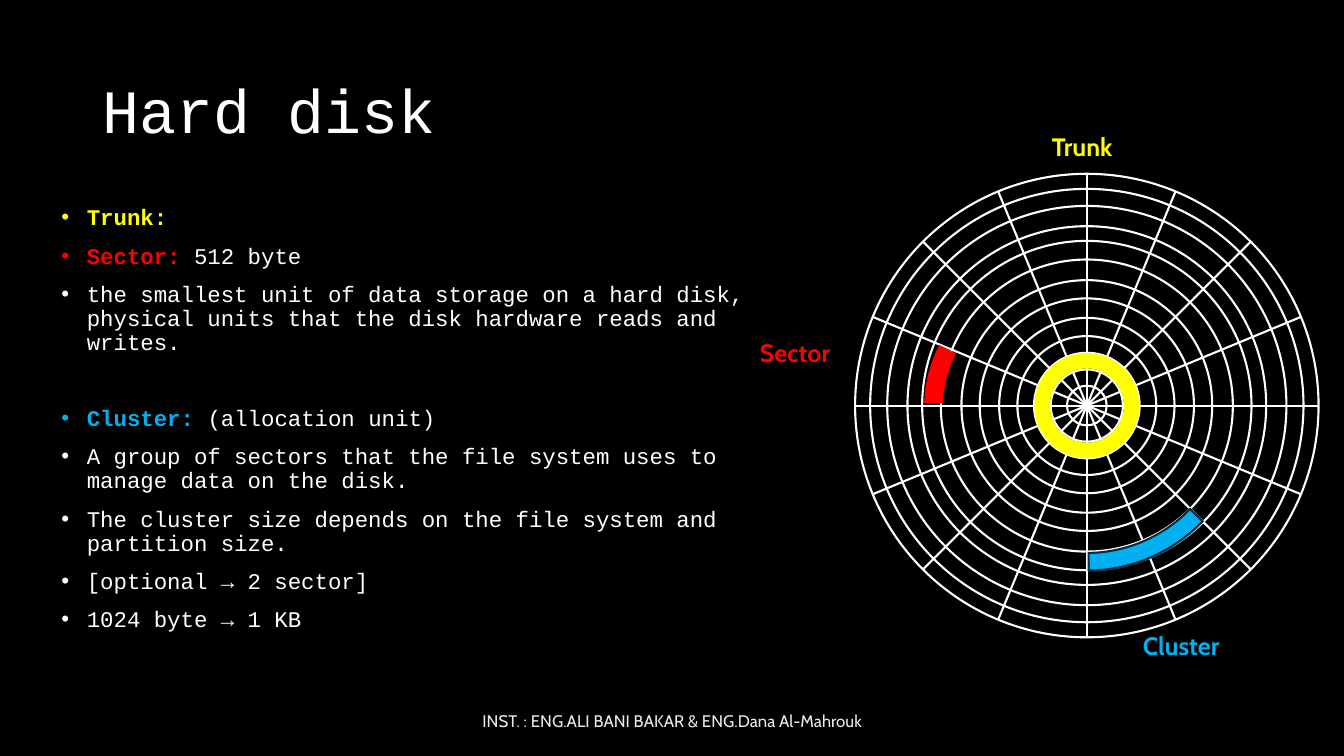
from dataclasses import dataclass
from math import cos, radians, sin

from lxml.etree import SubElement
from pptx import Presentation
from pptx.dml.color import RGBColor
from pptx.enum.shapes import MSO_CONNECTOR as Connector, MSO_SHAPE as Shape
from pptx.enum.text import MSO_ANCHOR as Anchor, PP_ALIGN as Align
from pptx.oxml.ns import qn
from pptx.util import Cm, Pt

COLORS = {
    "black": "000000",
    "white": "FFFFFF",
    "footer": "EAEAEA",
    "trunk": "FFFF00",
    "sector": "FF0000",
    "cluster": "00B0F0",
    "cluster edge": "092A39",
}
CODE_FONT, LABEL_FONT = "Courier New", "Cabin"

DISK_X, DISK_Y = 27.39, 10.22
TRACK_RADII = [5.84, 5.46, 5.03, 4.52, 4.15, 3.68, 3.16, 2.7, 2.21, 1.75, 1.33, 0.91, 0.5]
SPOKE_COUNT = 8


@dataclass
class Bullet:
    text: str
    term: str = ""
    color: str = "white"
    space_before: float = 10


@dataclass
class Label:
    text: str
    left: float
    top: float
    width: float
    color: str


@dataclass
class Arc:
    """A ring segment; angles in degrees, clockwise from the right."""
    x: float
    y: float
    radius: float
    start: float
    end: float
    thickness: float
    fill: str
    edge: str = ""


BULLETS = [
    Bullet("", "Trunk:", "trunk", 0),
    Bullet("512 byte", "Sector: ", "sector"),
    Bullet("the smallest unit of data storage on a hard disk, "
           "physical units that the disk hardware reads and writes."),
    Bullet("(allocation unit)", "Cluster: ", "cluster", 37),
    Bullet("A group of sectors that the file system uses to manage data on the disk."),
    Bullet("The cluster size depends on the file system and partition size."),
    Bullet("[optional → 2 sector]"),
    Bullet("1024 byte → 1 KB"),
]
LABELS = [
    Label("Cluster", 28.55, 15.75, 2.67, "cluster"),
    Label("Sector", 18.9, 8.38, 2.44, "sector"),
    Label("Trunk", 26.26, 3.18, 2.13, "trunk"),
]
ARCS = [
    Arc(26.67, 10.26, 3.38, 181.76, 207.61, 0.07, "sector"),
    Arc(27.39, 10.33, 4.05, 43.84, 89.3, 0.055, "cluster", "cluster edge"),
]


def color_of(name: str) -> RGBColor:
    return RGBColor.from_string(COLORS[name])


def set_font(font, name: str, size: float, color: str, bold: bool = False) -> None:
    font.name, font.size, font.bold = name, Pt(size), bold
    font.color.rgb = color_of(color)


def set_line(shape, color: str, width: float = 1.5) -> None:
    shape.line.color.rgb = color_of(color)
    shape.line.width = Pt(width)


def add_round(shapes, kind: Shape, x: float, y: float, radius: float):
    """Adds an unfilled shape centred on x, y."""
    shape = shapes.add_shape(kind, Cm(x - radius), Cm(y - radius), Cm(2 * radius), Cm(2 * radius))
    shape.shadow.inherit = False
    shape.fill.background()
    return shape


def add_spoke(shapes, angle: float) -> None:
    dx = TRACK_RADII[0] * cos(radians(angle))
    dy = TRACK_RADII[0] * sin(radians(angle))
    spoke = shapes.add_connector(Connector.STRAIGHT, Cm(DISK_X - dx), Cm(DISK_Y - dy),
                                 Cm(DISK_X + dx), Cm(DISK_Y + dy))
    set_line(spoke, "white")
    SubElement(spoke._element.spPr, qn("a:effectLst"))


def add_disk(shapes) -> None:
    disk = shapes.add_group_shape().shapes
    for radius in TRACK_RADII:
        set_line(add_round(disk, Shape.OVAL, DISK_X, DISK_Y, radius), "white")
    for index in range(SPOKE_COUNT):
        add_spoke(disk, index * 180 / SPOKE_COUNT)


def add_arc(shapes, arc: Arc) -> None:
    shape = add_round(shapes, Shape.BLOCK_ARC, arc.x, arc.y, arc.radius)
    # Angles are stored in 60000ths of a degree, adjustments in 100000ths.
    shape.adjustments[0] = arc.start * 0.6
    shape.adjustments[1] = arc.end * 0.6
    shape.adjustments[2] = arc.thickness
    shape.fill.solid()
    shape.fill.fore_color.rgb = color_of(arc.fill)
    if arc.edge:
        set_line(shape, arc.edge)
    else:
        shape.line.fill.background()


def add_bullet(paragraph, bullet: Bullet) -> None:
    properties = paragraph._p.get_or_add_pPr()
    properties.set("marL", str(Cm(0.64)))
    properties.set("indent", str(-Cm(0.64)))
    SubElement(properties, qn("a:buFont")).set("typeface", "Arial")
    SubElement(properties, qn("a:buChar")).set("char", "•")
    paragraph.line_spacing = 0.9
    paragraph.space_before = Pt(bullet.space_before)
    set_font(paragraph.font, CODE_FONT, 16, "white")
    if bullet.term:
        term = paragraph.add_run()
        term.text = bullet.term
        term.font.bold = True
        term.font.color.rgb = color_of(bullet.color)
    if bullet.text:
        paragraph.add_run().text = bullet.text


def add_title(slide) -> None:
    title = slide.shapes.title
    title.left, title.top, title.width, title.height = Cm(2.34), Cm(1.02), Cm(29.21), Cm(3.68)
    title.text_frame.text = "Hard disk"
    title.text_frame.vertical_anchor = Anchor.MIDDLE
    paragraph = title.text_frame.paragraphs[0]
    paragraph.alignment = Align.LEFT
    paragraph.line_spacing = 0.9
    set_font(paragraph.font, CODE_FONT, 44, "white")


def add_bullets(shapes) -> None:
    frame = shapes.add_textbox(Cm(1.3), Cm(5.08), Cm(19.15), Cm(12.09)).text_frame
    frame.word_wrap = True
    for index, bullet in enumerate(BULLETS):
        add_bullet(frame.add_paragraph() if index else frame.paragraphs[0], bullet)


def add_footer(shapes) -> None:
    frame = shapes.add_textbox(Cm(11.23), Cm(17.65), Cm(11.43), Cm(1.02)).text_frame
    frame.word_wrap = True
    frame.vertical_anchor = Anchor.MIDDLE
    frame.text = "INST. : ENG.ALI BANI BAKAR & ENG.Dana Al-Mahrouk"
    frame.paragraphs[0].alignment = Align.CENTER
    set_font(frame.paragraphs[0].font, LABEL_FONT, 12, "footer")


def add_label(shapes, label: Label) -> None:
    frame = shapes.add_textbox(Cm(label.left), Cm(label.top), Cm(label.width), Cm(1.02)).text_frame
    frame.word_wrap = False
    frame.text = label.text
    set_font(frame.paragraphs[0].font, LABEL_FONT, 18, label.color, bold=True)


def main() -> None:
    presentation = Presentation()
    presentation.slide_width, presentation.slide_height = Cm(33.87), Cm(19.05)
    slide = presentation.slides.add_slide(presentation.slide_layouts[5])
    slide.background.fill.solid()
    slide.background.fill.fore_color.rgb = color_of("black")
    add_title(slide)
    add_bullets(slide.shapes)
    add_footer(slide.shapes)
    add_disk(slide.shapes)
    set_line(add_round(slide.shapes, Shape.OVAL, DISK_X, DISK_Y, 1.13), "trunk", 11)
    for arc in ARCS:
        add_arc(slide.shapes, arc)
    for label in LABELS:
        add_label(slide.shapes, label)
    presentation.save("out.pptx")


if __name__ == "__main__":
    main()
